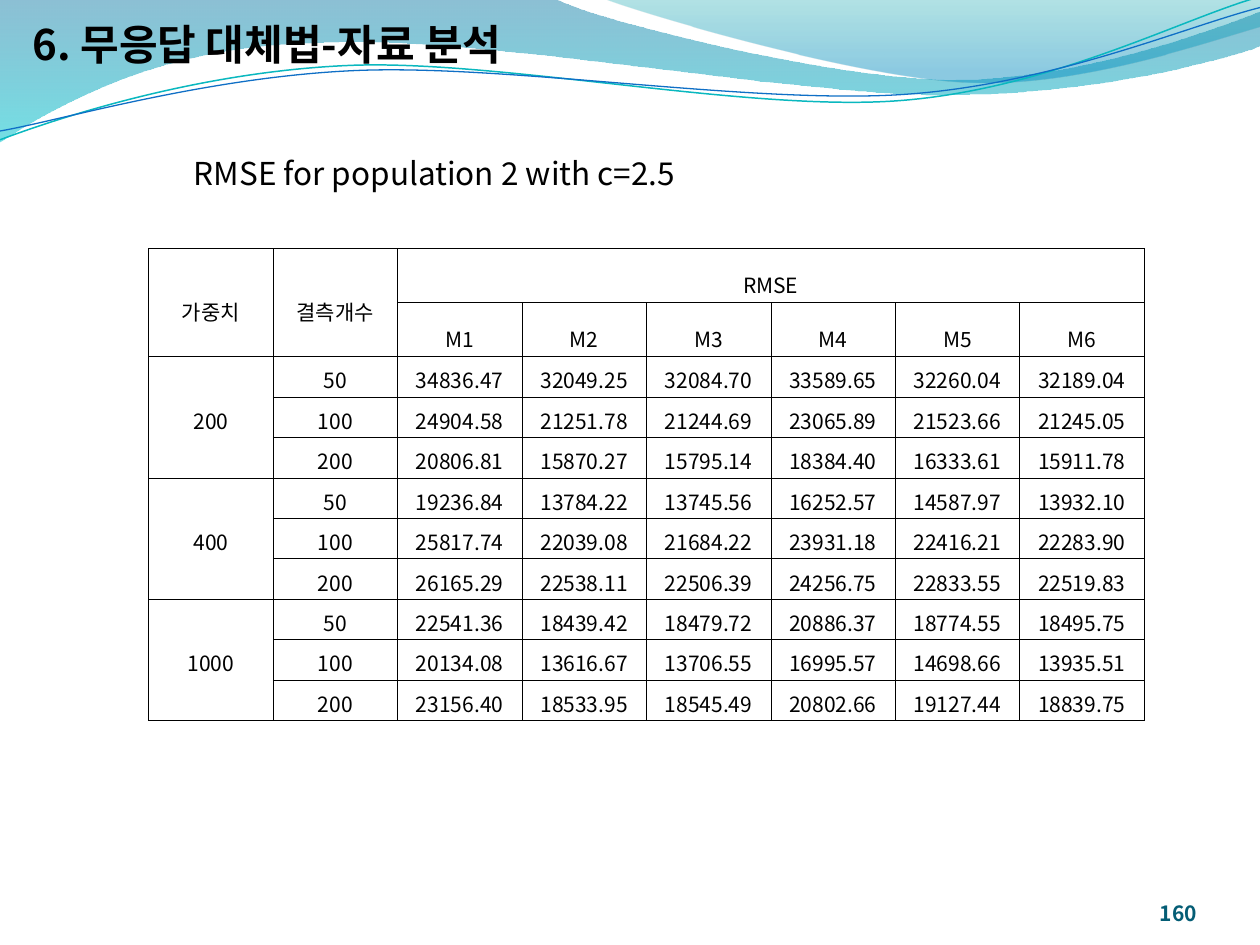
from dataclasses import dataclass

from lxml.etree import SubElement
from pptx import Presentation
from pptx.dml.color import RGBColor
from pptx.enum.text import MSO_ANCHOR as Anchor, MSO_AUTO_SIZE as AutoSize, PP_ALIGN as Align
from pptx.oxml.ns import qn
from pptx.util import Inches, Pt


@dataclass(frozen=True)
class Theme:
    """Colours, font and type sizes of the deck."""

    font: str = "Noto Sans CJK KR"
    ink: str = "000000"
    accent: str = "045D75"
    teal_line: str = "0AB8BF"
    blue_line: str = "0F6FC6"
    wave_stops: tuple = ((0, "0074A1", 45), (1, "00C6CF", 55))
    crest_stops: tuple = ((0, "00A1A9", 30), (0.8, "008BBF", 45))
    title: int = 24
    subtitle: int = 18
    small: int = 12
    rule: float = 0.28
    cell_gap: float = 1.1


class SlideBuilder:
    """Draws on one slide, with lengths in tenths of the slide's width."""

    def __init__(self, presentation, theme):
        """Add a blank slide and keep the style."""
        self.slide = presentation.slides.add_slide(presentation.slide_layouts[6])
        self.shapes = self.slide.shapes
        self.unit = presentation.slide_width / 10
        self.theme = theme

    def units(self, *lengths):
        """Turn grid lengths into slide lengths."""
        return [round(length * self.unit) for length in lengths]

    def style(self, paragraph, size, color=None, bold=False, align=Align.LEFT):
        """Set the type of a whole paragraph."""
        paragraph.alignment = align
        font = paragraph.font
        font.name, font.size, font.bold = self.theme.font, Pt(size), bold
        font.color.rgb = RGBColor.from_string(color or self.theme.ink)
        for properties in paragraph._p.iter(qn("a:defRPr")):
            SubElement(properties, qn("a:ea"), typeface=self.theme.font)

    def text(self, text, box, size, anchor=Anchor.TOP, wrap=True, inset=True,
             fit=AutoSize.NONE, indent=0, **style):
        """Add a text box of one paragraph."""
        shape = self.shapes.add_textbox(*self.units(*box))
        frame = shape.text_frame
        frame.word_wrap, frame.auto_size, frame.vertical_anchor = wrap, fit, anchor
        if not inset:
            frame.margin_left = frame.margin_top = frame.margin_right = frame.margin_bottom = 0
        paragraph = frame.paragraphs[0]
        paragraph.text = text
        if indent:
            paragraph._p.get_or_add_pPr().set("marL", str(self.units(indent)[0]))
        self.style(paragraph, size, **style)

    def curve(self, start, *segments, closed=False):
        """Add an outline of straight (2 numbers) and Bezier (6 numbers) segments."""
        points = [self.units(*segment[index:index + 2])
                  for segment in segments for index in range(0, len(segment), 2)]
        builder = self.shapes.build_freeform(*self.units(*start))
        builder.add_line_segments(points, close=closed)
        shape = builder.convert_to_shape()
        shape.shadow.inherit = False
        lines = iter(list(shape._element.iter(qn("a:lnTo"))))
        for segment in segments:
            line = next(lines)
            if len(segment) == 6:
                line.tag = qn("a:cubicBezTo")
                for extra in (next(lines), next(lines)):
                    line.append(extra[0])
                    extra.getparent().remove(extra)
        return shape

    def wave(self, stops, start, *segments):
        """Add a closed shape with a translucent vertical gradient."""
        shape = self.curve(start, *segments, closed=True)
        shape.line.fill.background()
        shape.fill.gradient()
        shape.fill.gradient_angle = 270
        for stop, (position, color, _) in zip(shape.fill.gradient_stops, stops):
            stop.position = position
            stop.color.rgb = RGBColor.from_string(color)
        for color, (_, _, opacity) in zip(shape._element.spPr.iter(qn("a:srgbClr")), stops):
            SubElement(color, qn("a:alpha"), val=str(opacity * 1000))

    def ribbon(self, color, width, start, *segments):
        """Add an open curved line."""
        shape = self.curve(start, *segments)
        shape.fill.background()
        shape.line.color.rgb = RGBColor.from_string(color)
        shape.line.width = Pt(width)

    def border(self, cell):
        """Rule all four sides of a cell."""
        properties = cell._tc.get_or_add_tcPr()
        for side in ("a:lnL", "a:lnR", "a:lnT", "a:lnB"):
            line = SubElement(properties, qn(side), w=str(Pt(self.theme.rule)))
            SubElement(SubElement(line, qn("a:solidFill")), qn("a:srgbClr"), val=self.theme.ink)

    def table(self, rows, box, header_height, header_rows, merges):
        """Add a ruled table with merged cells and equal body rows."""
        columns = len(rows[0])
        _, _, width, height = box
        body_height = (height - header_height * header_rows) / (len(rows) - header_rows)
        table = self.shapes.add_table(len(rows), columns, *self.units(*box)).table
        table.first_row = table.horz_banding = False
        for column in table.columns:
            column.width = self.units(width / columns)[0]
        for index, (row, values) in enumerate(zip(table.rows, rows)):
            is_header = index < header_rows
            row.height = self.units(header_height if is_header else body_height)[0]
            for cell, value in zip(row.cells, values):
                self.border(cell)
                cell.fill.background()
                cell.vertical_anchor = Anchor.MIDDLE
                cell.margin_left = cell.margin_right = self.units(0.07)[0]
                cell.margin_top = cell.margin_bottom = Pt(self.theme.cell_gap)
                paragraph = cell.text_frame.paragraphs[0]
                paragraph.text = value
                paragraph.line_spacing = 1.6 if is_header else 1.2
                self.style(paragraph, self.theme.small, align=Align.CENTER)
        for first, last in merges:
            table.cell(*first).merge(table.cell(*last))


WEIGHTS = ("200", "400", "1000")
MISSING_COUNTS = ("50", "100", "200")
RMSE = """
34836.47 32049.25 32084.70 33589.65 32260.04 32189.04
24904.58 21251.78 21244.69 23065.89 21523.66 21245.05
20806.81 15870.27 15795.14 18384.40 16333.61 15911.78
19236.84 13784.22 13745.56 16252.57 14587.97 13932.10
25817.74 22039.08 21684.22 23931.18 22416.21 22283.90
26165.29 22538.11 22506.39 24256.75 22833.55 22519.83
22541.36 18439.42 18479.72 20886.37 18774.55 18495.75
20134.08 13616.67 13706.55 16995.57 14698.66 13935.51
23156.40 18533.95 18545.49 20802.66 19127.44 18839.75
"""


def rmse_rows():
    """Return the header and body rows of the RMSE table."""
    rows = [["가중치", "결측개수", "RMSE"] + [""] * 5,
            ["", ""] + [f"M{number}" for number in range(1, 7)]]
    for index, line in enumerate(RMSE.strip().splitlines()):
        group, member = divmod(index, len(MISSING_COUNTS))
        weight = "" if member else WEIGHTS[group]
        rows.append([weight, MISSING_COUNTS[member], *line.split()])
    return rows


def main():
    """Build and save the slide."""
    presentation = Presentation()
    presentation.slide_width, presentation.slide_height = Inches(10), Inches(7.5)
    theme = Theme()
    builder = SlideBuilder(presentation, theme)

    builder.wave(theme.wave_stops, (0, -0.01), (4.4, -0.01),
                 (4.76, 0.17, 6.64, 0.63, 7.58, 0.63), (8.53, 0.63, 9.58, 0.26, 10, 0.09),
                 (10.01, 0.36), (9.83, 0.44, 8.7, 0.76, 7.46, 0.75),
                 (6.22, 0.75, 3.82, 0.28, 2.57, 0.34), (1.29, 0.35, 0.46, 0.83, -0.01, 1.13),
                 (0, -0.01))
    builder.wave(theme.crest_stops, (4.79, -0.01), (5.09, 0.11, 6.82, 0.62, 7.69, 0.65),
                 (8.56, 0.69, 9.61, 0.32, 10, 0.21), (10, 0), (4.79, -0.01))
    builder.ribbon(theme.teal_line, 0.85, (0, 1.11), (0.48, 0.93, 1.58, 0.57, 2.77, 0.52),
                   (3.95, 0.47, 5.93, 0.89, 7.13, 0.8), (8.33, 0.71, 9.38, 0.15, 9.98, -0.02))
    builder.ribbon(theme.blue_line, 0.75, (0, 1.04), (0.47, 0.96, 1.64, 0.61, 2.83, 0.56),
                   (4.03, 0.51, 5.97, 0.83, 7.17, 0.75), (8.36, 0.67, 9.41, 0.21, 10, 0.06))

    builder.text("160", (8.67, 6.95, 0.83, 0.4), theme.small, anchor=Anchor.BOTTOM,
                 inset=False, color=theme.accent, bold=True, align=Align.RIGHT)
    builder.text("6. 무응답 대체법-자료 분석", (0.16, 0, 3.82, 0.7), theme.title,
                 anchor=Anchor.MIDDLE, wrap=False, bold=True)
    builder.text("RMSE for population 2 with c=2.5", (0.94, 1.17, 8.36, 0.4),
                 theme.subtitle, fit=AutoSize.SHAPE_TO_FIT_TEXT, indent=0.5)

    header_merges = [((0, 0), (1, 0)), ((0, 1), (1, 1)), ((0, 2), (0, 7))]
    weight_merges = [((row, 0), (row + 2, 0)) for row in range(2, 11, 3)]
    builder.table(rmse_rows(), (1.18, 1.97, 7.9, 3.75), header_height=0.43, header_rows=2,
                  merges=header_merges + weight_merges)
    presentation.save("out.pptx")


if __name__ == "__main__":
    main()
